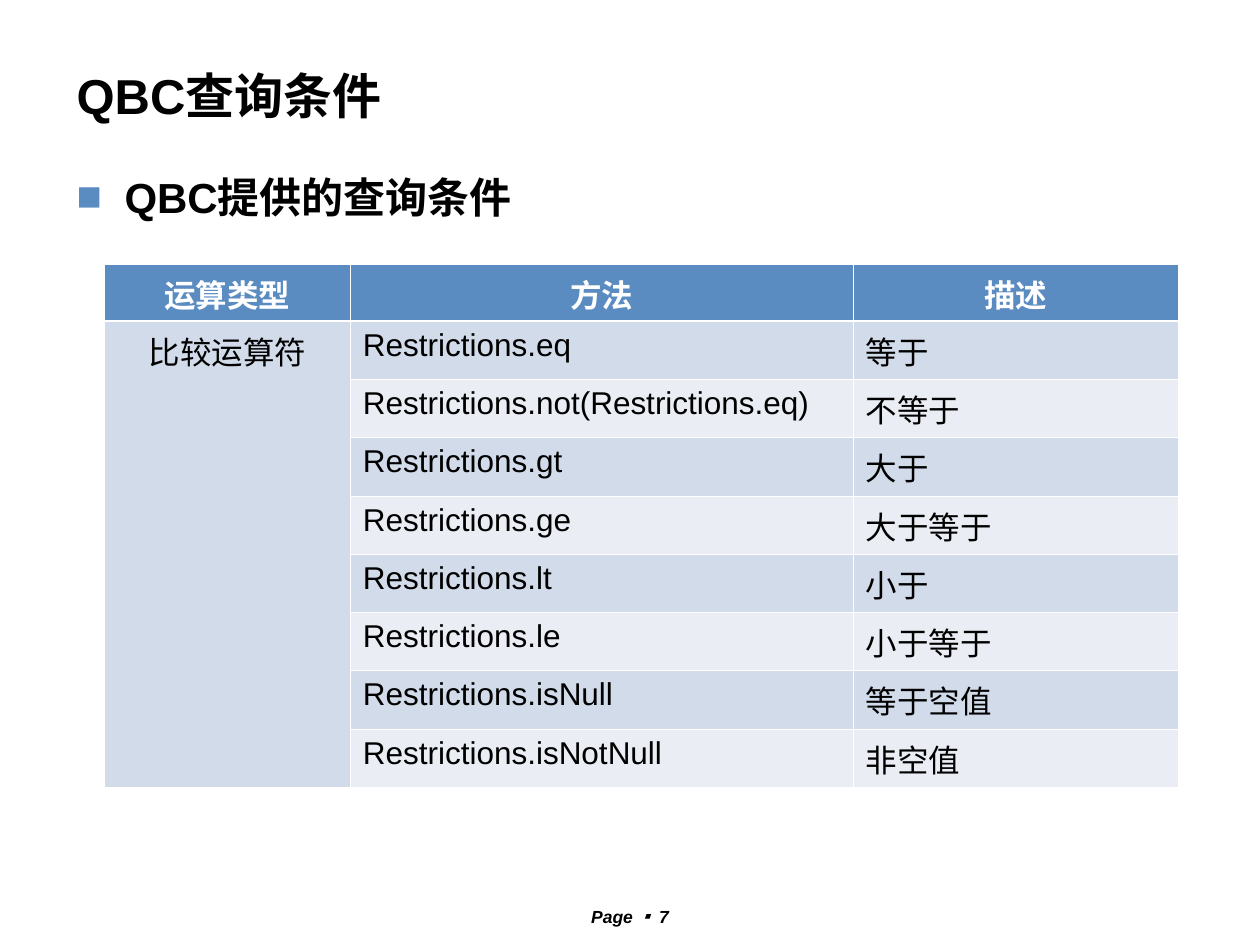
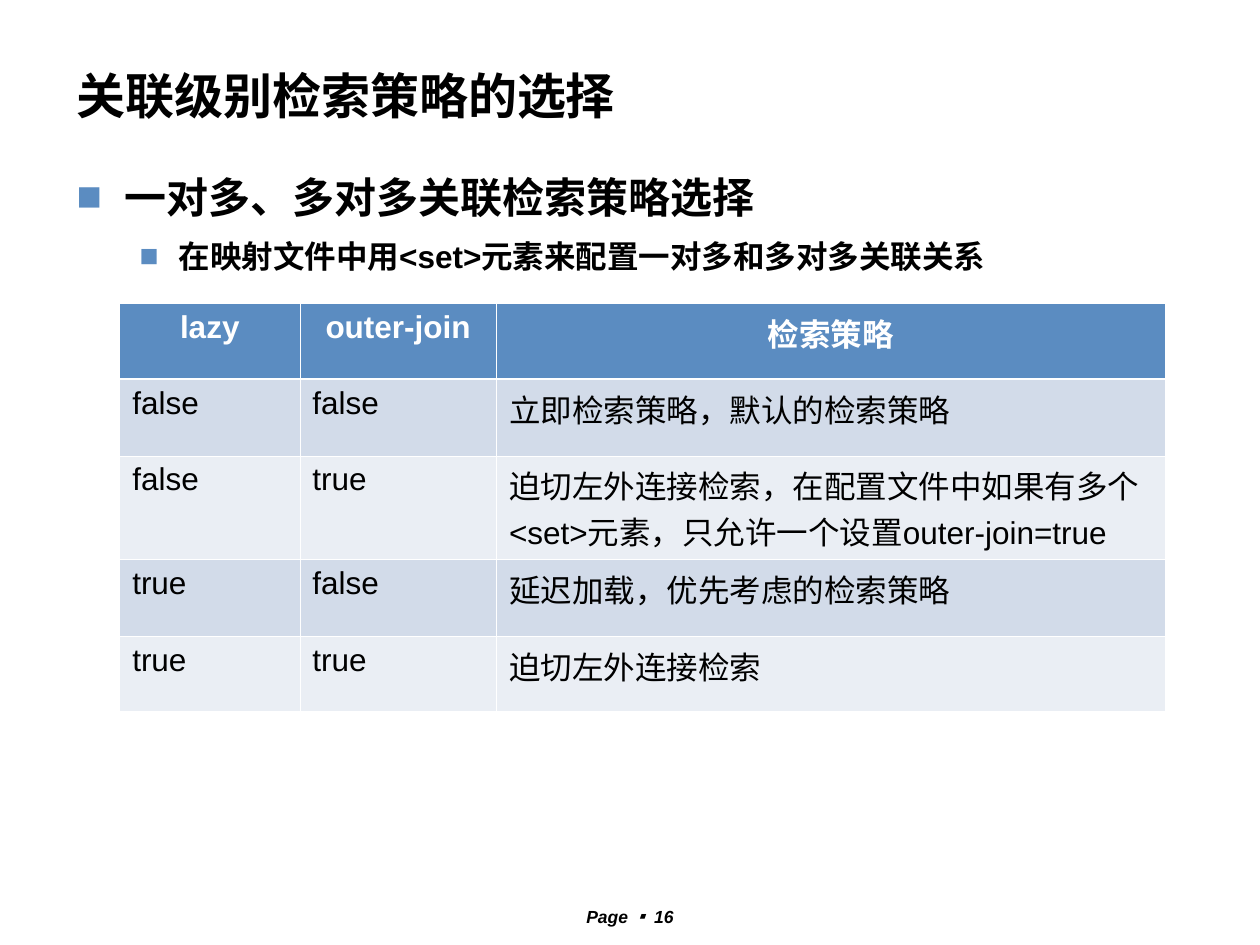
from lxml.etree import SubElement
from pptx import Presentation
from pptx.dml.color import RGBColor
from pptx.enum.lang import MSO_LANGUAGE_ID as Language
from pptx.enum.text import MSO_ANCHOR as Anchor, PP_ALIGN as Align
from pptx.oxml.ns import qn
from pptx.util import Inches, Pt

COLORS = {"text": "000000", "accent": "5B8CC1", "white": "FFFFFF",
          "band_dark": "D2DBE9", "band_light": "EAEEF4"}
LATIN_FONT = "Arial"
CHINESE_FONT = "Noto Sans CJK JP"
THIN_LINE, THICK_LINE = 0.45, 1.47

CONDITION_ROWS = [
    ["运算类型", "方法", "描述"],
    ["比较运算符", "Restrictions.eq", "等于"],
    ["", "Restrictions.not(Restrictions.eq)", "不等于"],
    ["", "Restrictions.gt", "大于"],
    ["", "Restrictions.ge", "大于等于"],
    ["", "Restrictions.lt", "小于"],
    ["", "Restrictions.le", "小于等于"],
    ["", "Restrictions.isNull", "等于空值"],
    ["", "Restrictions.isNotNull", "非空值"],
]
CONDITION_HEIGHTS = [0.45] + [0.46, 0.46, 0.47, 0.46] * 2
STRATEGY_ROWS = [
    ["lazy", "outer-join", "检索策略"],
    ["false", "false", "立即检索策略，默认的检索策略"],
    ["false", "true", "迫切左外连接检索，在配置文件中如果有多个<set>元素，只允许一个设置outer-join=true"],
    ["true", "false", "延迟加载，优先考虑的检索策略"],
    ["true", "true", "迫切左外连接检索"],
]
STRATEGY_HEIGHTS = [0.6, 0.61, 0.82, 0.61, 0.6]


def add_run(paragraph, text, size=18, color="text", bold=False, italic=False, font=LATIN_FONT):
    """Append formatted text to a paragraph."""
    run = paragraph.add_run()
    run.text = text
    run.font.size = Pt(size)
    run.font.bold = bold
    run.font.italic = italic
    run.font.name = font
    run.font.language_id = Language.SIMPLIFIED_CHINESE
    run.font.color.rgb = RGBColor.from_string(COLORS[color])
    latin = run.font._element.find(qn("a:latin"))
    east_asian = latin.makeelement(qn("a:ea"), {"typeface": CHINESE_FONT})
    latin.addnext(east_asian)


def add_text_box(slide, left, top, width, height, anchor=Anchor.TOP):
    """Add a wrapping text box and return its text frame."""
    box = slide.shapes.add_textbox(Inches(left), Inches(top), Inches(width), Inches(height))
    box.text_frame.word_wrap = True
    box.text_frame.vertical_anchor = anchor
    return box.text_frame


def add_title(slide, title):
    """Add the slide title."""
    frame = add_text_box(slide, 0.51, 0.44, 8.98, 0.63, Anchor.MIDDLE)
    add_run(frame.paragraphs[0], title, size=28, bold=True)


def add_footer(slide, number):
    """Add the centred page number."""
    paragraph = add_text_box(slide, 4.21, 7.14, 1.58, 0.22).paragraphs[0]
    paragraph.alignment = Align.CENTER
    for text, font in (("Page ", LATIN_FONT), ("▪ ", CHINESE_FONT), (str(number), LATIN_FONT)):
        add_run(paragraph, text, size=10, bold=True, italic=True, font=font)


def format_bullet(paragraph, margin, hanging):
    """Give a paragraph a hanging square bullet."""
    properties = paragraph._p.get_or_add_pPr()
    properties.set("marL", str(Inches(margin)))
    properties.set("indent", str(-Inches(hanging)))
    color = SubElement(properties, qn("a:buClr"))
    SubElement(color, qn("a:srgbClr"), val=COLORS["accent"])
    SubElement(properties, qn("a:buFont"), typeface=LATIN_FONT)
    SubElement(properties, qn("a:buChar"), char="■")


def add_bullets(slide, heading, detail=None):
    """Add the heading bullet and an optional second-level bullet."""
    frame = add_text_box(slide, 0.51, 1.23, 8.98, 5.67)
    levels = [(heading, 24, 6, 0.38, 0.38), (detail, 18, 4.5, 0.81, 0.31)]
    for level, (text, size, space, margin, hanging) in enumerate(levels):
        if text:
            paragraph = frame.add_paragraph() if level else frame.paragraphs[0]
            paragraph.level = level
            paragraph.line_spacing = 1.2
            paragraph.space_before = Pt(space)
            format_bullet(paragraph, margin, hanging)
            add_run(paragraph, text, size=size, bold=True)


def set_borders(cell, top, bottom):
    """Draw white borders around a cell."""
    properties = cell._tc.get_or_add_tcPr()
    widths = {"lnL": THIN_LINE, "lnR": THIN_LINE, "lnT": top, "lnB": bottom}
    for side, width in widths.items():
        line = SubElement(properties, qn(f"a:{side}"), w=str(Pt(width)))
        fill = SubElement(line, qn("a:solidFill"))
        SubElement(fill, qn("a:srgbClr"), val=COLORS["white"])


def fill_cell(cell, text, row, centred):
    """Style a cell by its row and write its text."""
    header = row == 0
    set_borders(cell, THICK_LINE if row == 1 else THIN_LINE, THICK_LINE if header else THIN_LINE)
    band = "accent" if header else "band_dark" if row % 2 else "band_light"
    cell.fill.solid()
    cell.fill.fore_color.rgb = RGBColor.from_string(COLORS[band])
    if text:
        paragraph = cell.text_frame.paragraphs[0]
        paragraph.alignment = Align.CENTER if centred else Align.LEFT
        add_run(paragraph, text, color="white" if header else "text", bold=header)


def add_banded_table(slide, rows, left, top, widths, heights, merge_first=False):
    """Add a banded table, optionally merging the first column below its header."""
    frame = slide.shapes.add_table(len(rows), len(widths), Inches(left), Inches(top),
                                   Inches(sum(widths)), Inches(sum(heights)))
    table = frame.table
    for column, width in zip(table.columns, widths):
        column.width = Inches(width)
    for row, (values, height) in enumerate(zip(rows, heights)):
        table.rows[row].height = Inches(height)
        for column, text in enumerate(values):
            centred = row == 0 or (merge_first and column == 0)
            fill_cell(table.cell(row, column), text, row, centred)
    if merge_first:
        table.cell(1, 0).merge(table.cell(len(rows) - 1, 0))


def add_page(presentation, title, number, heading, detail=None):
    """Add a slide with its title, bullets and footer."""
    slide = presentation.slides.add_slide(presentation.slide_layouts[6])
    add_footer(slide, number)
    add_title(slide, title)
    add_bullets(slide, heading, detail)
    return slide


def main():
    """Build and save the presentation."""
    presentation = Presentation()
    presentation.slide_width, presentation.slide_height = Inches(10), Inches(7.5)

    conditions = add_page(presentation, "QBC查询条件", 7, "QBC提供的查询条件")
    add_banded_table(conditions, CONDITION_ROWS, 0.83, 2.1, [1.95, 3.99, 2.58],
                     CONDITION_HEIGHTS, merge_first=True)

    strategies = add_page(presentation, "关联级别检索策略的选择", 16,
                          "一对多、多对多关联检索策略选择",
                          "在映射文件中用<set>元素来配置一对多和多对多关联关系")
    add_banded_table(strategies, STRATEGY_ROWS, 0.95, 2.41, [1.43, 1.56, 5.31],
                     STRATEGY_HEIGHTS)

    presentation.save("out.pptx")


if __name__ == "__main__":
    main()
